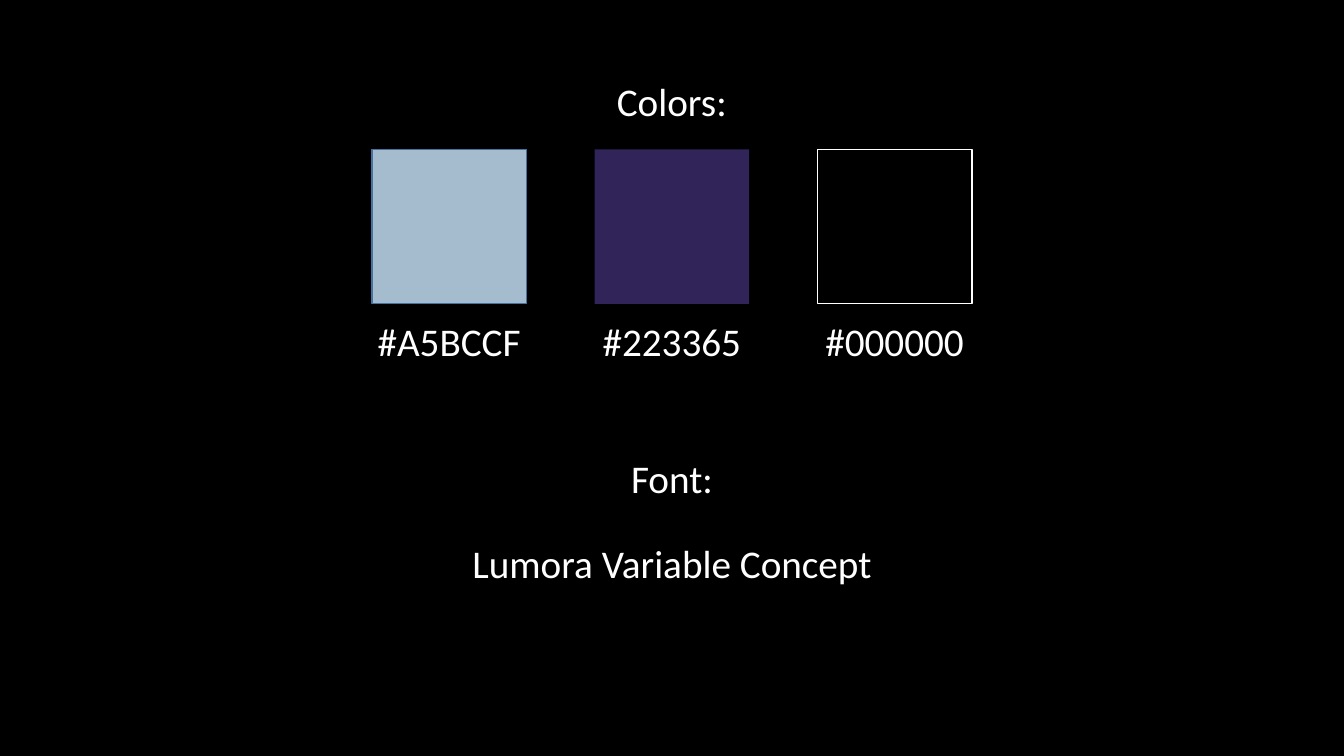
import pptx
import pptx.util
import pptx.dml.color
import pptx.enum.shapes
import pptx.enum.text

Pt = pptx.util.Pt
WIDE, HIGH = 960, 540
SIDE, STEP = 110.4, 159.1
LABEL, LINE = 239, 41
SWATCHES = [
    ("#A5BCCF", "A5BCCF", "43739E"),
    ("#223365", "302459", None),
    ("#000000", "000000", "FFFFFF"),
]


def color(code):
    return pptx.dml.color.RGBColor.from_string(code)


def write(shape, text, size=28, font="Calibri", ink="FFFFFF"):
    frame = shape.text_frame
    frame.word_wrap = True
    frame.auto_size = pptx.enum.text.MSO_AUTO_SIZE.NONE
    frame.vertical_anchor = pptx.enum.text.MSO_ANCHOR.TOP
    para = frame.paragraphs[0]
    para.alignment = pptx.enum.text.PP_ALIGN.CENTER
    run = para.add_run()
    run.text = text
    run.font.size = Pt(size)
    run.font.name = font
    run.font.color.rgb = color(ink)


def label(slide, text, left, top, width=LABEL, height=LINE):
    box = slide.shapes.add_textbox(Pt(left), Pt(top), Pt(width), Pt(height))
    write(box, text)


def block(slide, left, top, width, height, fill, edge=None):
    kind = pptx.enum.shapes.MSO_SHAPE.RECTANGLE
    rect = slide.shapes.add_shape(kind, Pt(left), Pt(top), Pt(width), Pt(height))
    rect.shadow.inherit = False
    rect.fill.solid()
    rect.fill.fore_color.rgb = color(fill)
    if edge:
        rect.line.color.rgb = color(edge)
        rect.line.width = Pt(1)
    else:
        rect.line.fill.background()


def heading(slide, text, left, top, width, height):
    title = slide.shapes.title
    title.left, title.top = Pt(left), Pt(top)
    title.width, title.height = Pt(width), Pt(height)
    write(title, text)
    slide.shapes.element.append(title.element)


def palette(slide, left, top):
    mid = left + STEP + SIDE / 2
    heading(slide, "Colors:", mid - LABEL / 2, top - 54.7, LABEL, LINE)
    for i, (name, fill, edge) in enumerate(SWATCHES):
        x = left + i * STEP
        block(slide, x, top, SIDE, SIDE, fill, edge)
        label(slide, name, x + (SIDE - LABEL) / 2, top + 116.6)


def sample(slide, left, top, width):
    label(slide, "Font:", left + (width - LABEL) / 2, top)
    label(slide, "Lumora Variable Concept", left, top + 60.5, width, 108.7)


def main():
    deck = pptx.Presentation()
    deck.slide_width, deck.slide_height = Pt(WIDE), Pt(HIGH)
    slide = deck.slides.add_slide(deck.slide_layouts[5])
    block(slide, -1, -1, WIDE + 4, HIGH + 4, "000000")
    palette(slide, 265.6, 106.6)
    sample(slide, 272.3, 321.1, 415.4)
    deck.save("out.pptx")


if __name__ == "__main__":
    main()
